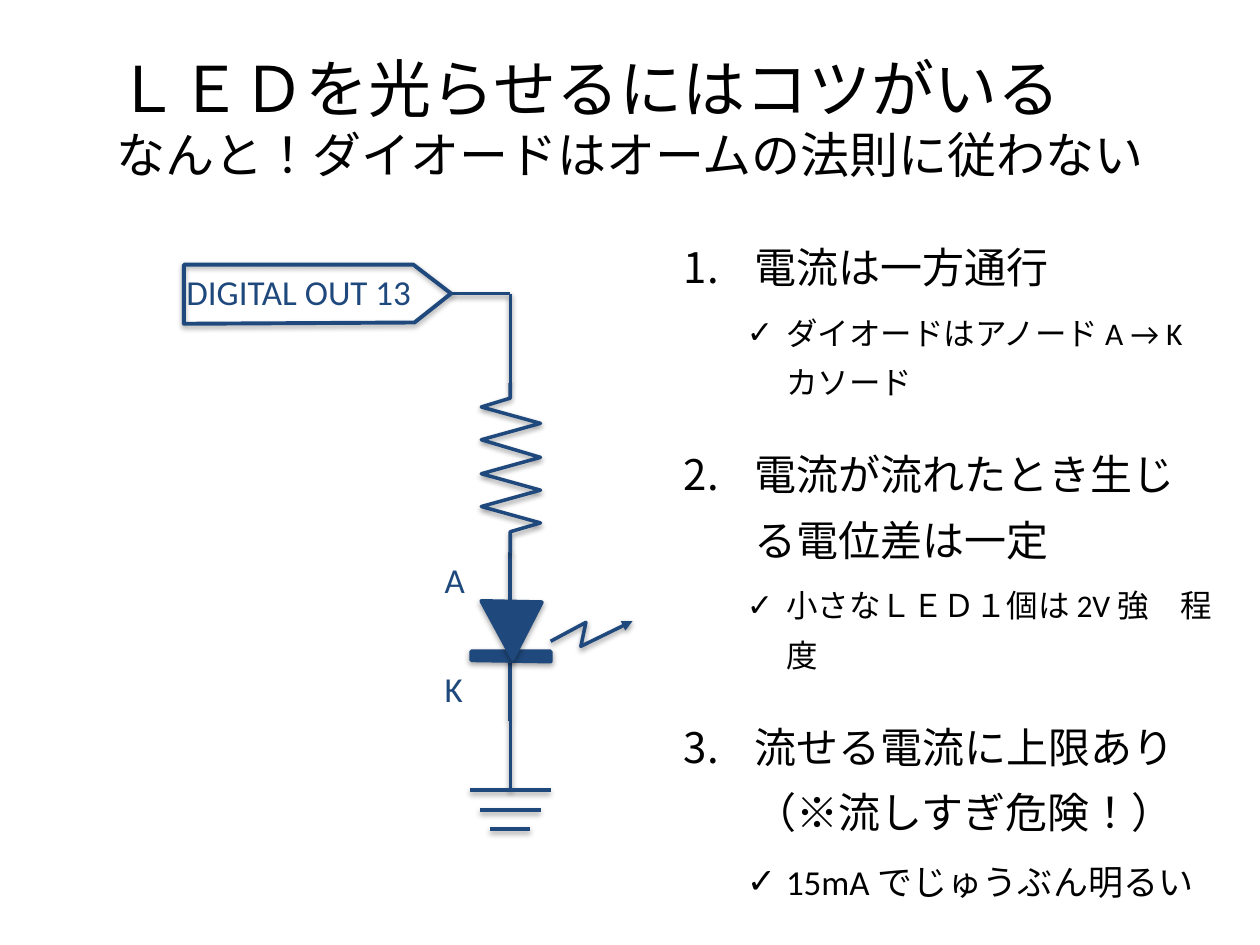
from lxml.etree import SubElement
from pptx import Presentation
from pptx.dml.color import RGBColor
from pptx.enum.lang import MSO_LANGUAGE_ID
from pptx.enum.shapes import MSO_CONNECTOR
from pptx.enum.text import MSO_ANCHOR
from pptx.oxml.ns import qn
from pptx.util import Inches, Pt

presentation = Presentation()
presentation.slide_width, presentation.slide_height = Inches(10), Inches(7.5)
slide = presentation.slides.add_slide(presentation.slide_layouts[6])
shapes = slide.shapes

CELL = presentation.slide_width // 1000  # the grid has 1000 columns and 750 rows
NAVY, BLACK = "1F497D", "000000"
FONT = "Calibri"
color = RGBColor.from_string


def ink(part, width, opacity=38):
    """Give a circuit part its navy line and soft shadow."""
    part.line.color.rgb = color(NAVY)
    part.line.width = Pt(width)
    properties = part._element.spPr
    effects = SubElement(properties, qn("a:effectLst"))
    shadow = SubElement(effects, qn("a:outerShdw"), blurRad="40000",
                        dist="20000", dir="5400000", rotWithShape="0")
    black = SubElement(shadow, qn("a:srgbClr"), val=BLACK)
    SubElement(black, qn("a:alpha"), val=str(opacity * 1000))


def outline(points, width, closed=False, fill=None):
    builder = shapes.build_freeform(*points[0], scale=CELL)
    builder.add_line_segments(points[1:], close=closed)
    part = builder.convert_to_shape()
    if fill:
        part.fill.solid()
        part.fill.fore_color.rgb = color(fill)
    else:
        part.fill.background()
    ink(part, width, 35 if closed else 38)
    return part


# Title
title = shapes.add_textbox(83 * CELL, 30 * CELL, 883 * CELL, 125 * CELL).text_frame
title.word_wrap = True
title.vertical_anchor = MSO_ANCHOR.MIDDLE
heading = title.paragraphs[0]
heading.font.name = FONT
heading.font.color.rgb = color(BLACK)
for words, size in [("ＬＥＤを光らせるにはコツがいる", 36),
                    ("なんと！ダイオードはオームの法則に従わない", 28)]:
    if heading.runs:
        heading.add_line_break()
    run = heading.add_run()
    run.text = words
    run.font.size = Pt(size)
    run.font.language_id = MSO_LANGUAGE_ID.JAPANESE

# Numbered rules, each with a ticked remark
rules = [
    ("電流は一方通行", "ダイオードはアノード A → K カソード", 18),
    ("電流が流れたとき生じる電位差は一定", "小さなＬＥＤ１個は 2V 強　程度", 18),
    ("流せる電流に上限あり\v（※流しすぎ危険！）", "15mA でじゅうぶん明るい", 20),
]
rule_list = shapes.add_textbox(533 * CELL, 175 * CELL, 442 * CELL, 495 * CELL).text_frame
rule_list.word_wrap = True
for number, (rule, remark, remark_size) in enumerate(rules):
    for level, words, size in [(0, rule, 24), (1, remark, remark_size)]:
        first = number == 0 and level == 0
        paragraph = rule_list.paragraphs[0] if first else rule_list.add_paragraph()
        paragraph.text = words
        paragraph.level = level
        paragraph.line_spacing = 1.3
        paragraph.space_before = Pt(6 if level else 12.7)
        paragraph.space_after = Pt(6 if level else 0)
        layout = paragraph._p.get_or_add_pPr()
        margin, hang = (81, 31) if level else (56, 56)
        layout.set("marL", str(margin * CELL))
        layout.set("indent", str(-hang * CELL))
        if level:
            SubElement(layout, qn("a:buFont"), typeface=FONT)
            SubElement(layout, qn("a:buChar"), char="✓")
        else:
            SubElement(layout, qn("a:buAutoNum"), type="arabicPeriod")
        paragraph.font.name = FONT
        paragraph.font.size = Pt(size)
        paragraph.font.color.rgb = color(BLACK)
        for run in paragraph.runs:
            run.font.language_id = MSO_LANGUAGE_ID.JAPANESE

# Wires and ground, all hung on one vertical axis
AXIS = 405
wires = [
    (AXIS, 438, AXIS, 572, 2.25),
    (358, 233, AXIS, 233, 2),
    (AXIS, 233, AXIS, 304, 2),
    (AXIS, 572, AXIS, 627, 2),
]
for step, half in enumerate((32, 24, 16)):
    row = 627 + round(15.5 * step)
    wires.append((AXIS - half, row, AXIS + half, row, 2))
for left, top, right, bottom, width in wires:
    wire = shapes.add_connector(MSO_CONNECTOR.STRAIGHT, left * CELL, top * CELL,
                                right * CELL, bottom * CELL)
    ink(wire, width)

# LED: cathode bar, anode triangle and emitted light
outline([(374, 517), (437, 517), (437, 525), (374, 524)], 2.25, True, NAVY)
outline([(382, 477), (430, 478), (407, 523)], 2.25, True, NAVY)
light = outline([(437, 509), (465, 494), (461, 513), (502, 493)], 2)
SubElement(light.line._get_or_add_ln(), qn("a:tailEnd"), type="triangle")

# Resistor and output pin
zigzag = [(AXIS + (24 if turn % 2 else -23), round(323 + 13.2 * turn))
          for turn in range(8)]
outline([(AXIS, 304), (AXIS, 316), *zigzag, (AXIS, 422), (AXIS, 439)], 2)
outline([(146, 257), (146, 210), (328, 210), (358, 233), (329, 256)], 2.25, True)

# Circuit labels
for words, left, top, width in [("DIGITAL OUT 13", 138, 210, 202),
                                ("A", 343, 438, 37), ("K", 343, 525, 36)]:
    label = shapes.add_textbox(left * CELL, top * CELL, width * CELL, 44 * CELL).text_frame
    label.word_wrap = False
    label.text = words
    caption = label.paragraphs[0]
    caption.font.name = FONT
    caption.font.size = Pt(20)
    caption.font.color.rgb = color(NAVY)

presentation.save("out.pptx")
